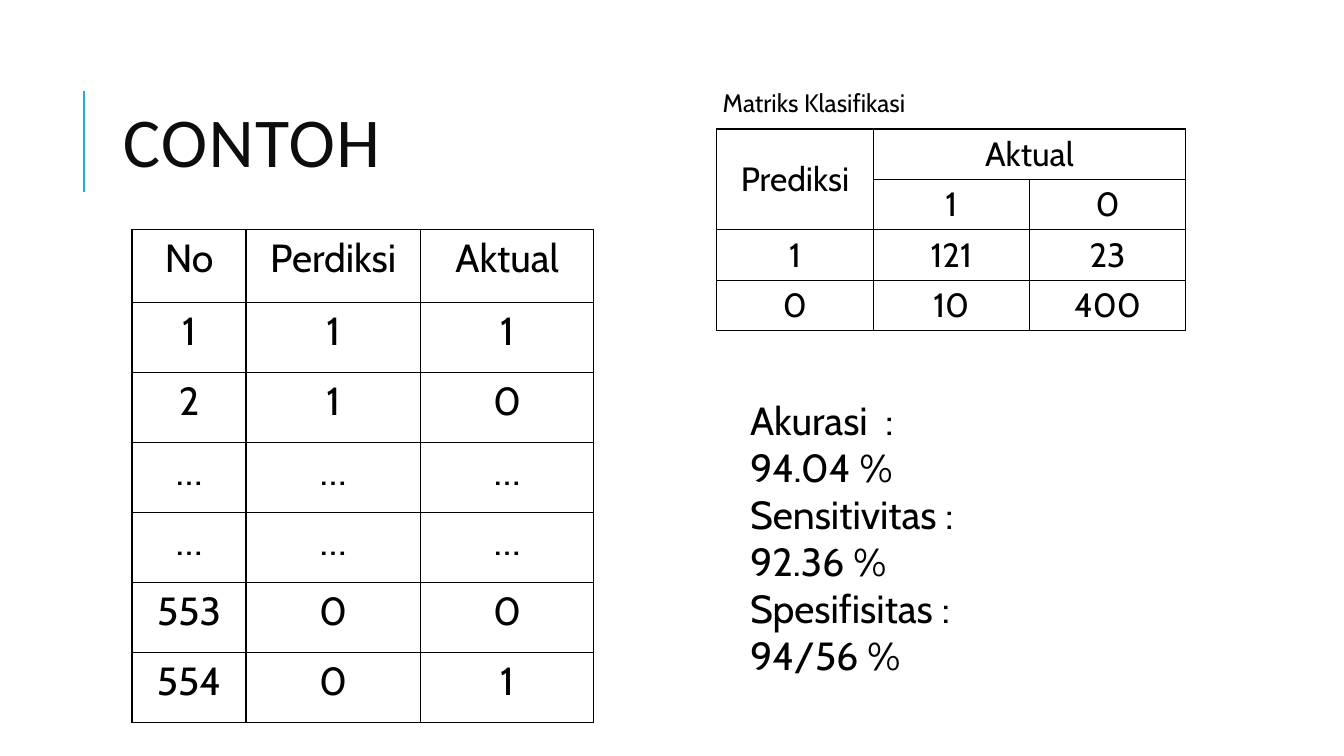
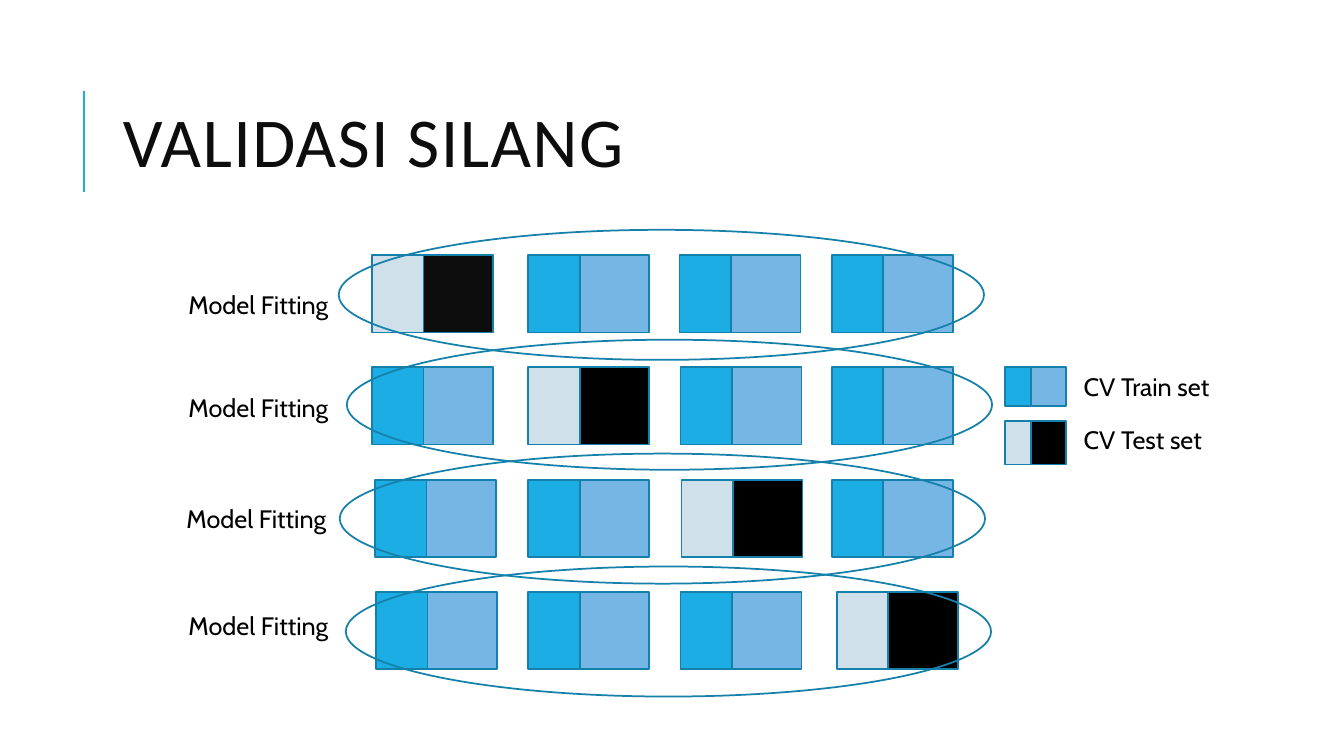
from dataclasses import dataclass

from lxml import etree
from pptx import Presentation
from pptx.dml.color import RGBColor
from pptx.enum.shapes import MSO_CONNECTOR, MSO_SHAPE
from pptx.enum.text import MSO_ANCHOR, PP_ALIGN
from pptx.oxml.ns import qn
from pptx.slide import Slide
from pptx.table import _Cell
from pptx.text.text import _Paragraph
from pptx.util import Inches, Pt

RECT, OVAL = MSO_SHAPE.RECTANGLE, MSO_SHAPE.OVAL
STRAIGHT = MSO_CONNECTOR.STRAIGHT
CENTER = PP_ALIGN.CENTER
MIDDLE = MSO_ANCHOR.MIDDLE


@dataclass(frozen=True)
class Theme:
    accent: str = "1CADE4"
    outline: str = "1580A9"
    train: str = "75B6E5"
    test: str = "CFE0EA"
    black: str = "000000"
    ink: str = "0D0D0D"
    title_font: str = "Calibri"
    body_font: str = "Cabin"
    title_size: int = 50
    large: int = 28
    medium: int = 24
    small: int = 18


THEME = Theme()
TRAIN_COLORS = (THEME.accent, THEME.train)
TEST_COLORS = (THEME.test, THEME.black)


@dataclass(frozen=True)
class Grid:
    left: float
    top: float
    cols: tuple[float, ...]
    rows: tuple[float, ...]
    size: int
    cells: tuple[tuple[str, ...], ...]


@dataclass(frozen=True)
class FoldRow:
    label_left: float
    label_top: float
    oval_left: float
    oval_top: float
    top: float
    lefts: tuple[float, ...]
    test_colors: tuple[str, str] = TEST_COLORS


@dataclass(frozen=True)
class LegendItem:
    text: str
    top: float
    height: float
    text_top: float
    colors: tuple[str, str]


PREDICTIONS = Grid(
    1.31, 2.28, (1.13, 1.73, 1.72), (0.72,) + (0.695,) * 6, THEME.large,
    (("No", "Perdiksi", "Aktual"),
     ("1", "1", "1"),
     ("2", "1", "0"),
     ("…", "…", "…"),
     ("…", "…", "…"),
     ("553", "0", "0"),
     ("554", "0", "1")))
CONFUSION = Grid(
    7.11, 1.28, (1.55,) * 3, (0.5,) * 4, THEME.medium,
    (("Prediksi", "Aktual", ""),
     ("", "1", "0"),
     ("1", "121", "23"),
     ("0", "10", "400")))
METRICS = ("Akurasi  :", "94.04 %", "Sensitivitas :", "92.36 %",
           "Spesifisitas :", "94/56 %")

# The test block moves one column to the right in each row
FOLDS = (
    FoldRow(1.77, 2.82, 3.36, 2.28, 2.53, (3.69, 5.24, 6.74, 8.25),
            (THEME.test, THEME.ink)),
    FoldRow(1.77, 3.84, 3.44, 3.37, 3.64, (3.69, 5.24, 6.75, 8.25)),
    FoldRow(1.75, 4.94, 3.37, 4.5, 4.76, (3.72, 5.24, 6.76, 8.25)),
    FoldRow(1.77, 6.01, 3.43, 5.62, 5.87, (3.73, 5.24, 6.75, 8.3)),
)
LEGEND = (
    LegendItem("CV Train set", 3.64, 0.39, 3.63, TRAIN_COLORS),
    LegendItem("CV Test set", 4.18, 0.43, 4.16, TEST_COLORS),
)


def rgb(color: str) -> RGBColor:
    return RGBColor.from_string(color)


def style(p: _Paragraph, size: int, font: str = THEME.body_font,
          color: str = THEME.black) -> None:
    p.font.name = font
    p.font.size = Pt(size)
    p.font.color.rgb = rgb(color)


def add_text(s: Slide, left: float, top: float, width: float, height: float,
             lines: tuple[str, ...], size: int) -> None:
    tf = s.shapes.add_textbox(Inches(left), Inches(top),
                              Inches(width), Inches(height)).text_frame
    tf.word_wrap = True
    tf.text = "\n".join(lines)
    for p in tf.paragraphs:
        style(p, size)


def add_title(s: Slide, text: str) -> None:
    """Draw the title and the accent rule beside it."""
    rule = s.shapes.add_connector(STRAIGHT, Inches(0.83), Inches(1.9),
                                  Inches(0.83), Inches(0.9))
    rule.line.color.rgb = rgb(THEME.accent)
    rule.line.width = Pt(1.5)
    etree.SubElement(rule._element.spPr, qn("a:effectLst"))

    tf = s.shapes.add_textbox(Inches(1.12), Inches(0.64),
                              Inches(10.63), Inches(1.64)).text_frame
    tf.word_wrap = True
    tf.vertical_anchor = MIDDLE
    p = tf.paragraphs[0]
    r = p.add_run()
    r.text = text
    r._r.get_or_add_rPr().set("spc", "100")
    p.line_spacing = 0.8
    style(p, THEME.title_size, THEME.title_font, THEME.ink)


def set_borders(cell: _Cell) -> None:
    tcPr = cell._tc.get_or_add_tcPr()
    for side in ("lnL", "lnR", "lnT", "lnB"):
        ln = etree.SubElement(tcPr, qn(f"a:{side}"), w=str(Pt(1)))
        fill = etree.SubElement(ln, qn("a:solidFill"))
        etree.SubElement(fill, qn("a:srgbClr"), val=THEME.black)


def add_grid(s: Slide, grid: Grid):
    table = s.shapes.add_table(
        len(grid.rows), len(grid.cols), Inches(grid.left), Inches(grid.top),
        Inches(sum(grid.cols)), Inches(sum(grid.rows))).table
    table.first_row = table.horz_banding = False
    for col, width in zip(table.columns, grid.cols):
        col.width = Inches(width)
    for row, height, texts in zip(table.rows, grid.rows, grid.cells):
        row.height = Inches(height)
        for cell, text in zip(row.cells, texts):
            set_borders(cell)
            cell.fill.background()
            cell.text = text
            p = cell.text_frame.paragraphs[0]
            p.alignment = CENTER
            style(p, grid.size)
    return table


def add_outlined(s: Slide, kind: MSO_SHAPE, left: float, top: float,
                 width: float, height: float, fill: str | None = None) -> None:
    sp = s.shapes.add_shape(kind, Inches(left), Inches(top),
                            Inches(width), Inches(height))
    sp.shadow.inherit = False
    sp.line.color.rgb = rgb(THEME.outline)
    sp.line.width = Pt(1.25)
    if fill:
        sp.fill.solid()
        sp.fill.fore_color.rgb = rgb(fill)
    else:
        sp.fill.background()


def add_block(s: Slide, left: float, top: float, widths: tuple[float, float],
              height: float, colors: tuple[str, str]) -> None:
    """Draw two adjoining rectangles."""
    for x, width, color in zip((left, left + widths[0]), widths, colors):
        add_outlined(s, RECT, x, top, width, height, color)


def build_example(s: Slide) -> None:
    add_title(s, "CONTOH")
    # Confusion matrix and its measures
    add_text(s, 7.07, 0.82, 2.2, 0.4, ("Matriks Klasifikasi",), THEME.small)
    table = add_grid(s, CONFUSION)
    table.cell(0, 0).merge(table.cell(1, 0))
    table.cell(0, 0).vertical_anchor = MIDDLE
    table.cell(0, 1).merge(table.cell(0, 2))
    add_text(s, 7.34, 3.88, 4.19, 2.93, METRICS, THEME.large)
    # Predicted and actual classes
    add_grid(s, PREDICTIONS)


def build_cross_validation(s: Slide) -> None:
    add_title(s, "VALIDASI SILANG")
    # Legend
    for item in LEGEND:
        add_block(s, 9.97, item.top, (0.26, 0.34), item.height, item.colors)
        add_text(s, 10.65, item.text_top, 1.53, 0.4, (item.text,), THEME.small)
    # Folds
    for i, fold in enumerate(FOLDS):
        add_text(s, fold.label_left, fold.label_top, 1.81, 0.4,
                 ("Model Fitting",), THEME.small)
        for j, left in enumerate(fold.lefts):
            colors = fold.test_colors if i == j else TRAIN_COLORS
            add_block(s, left, fold.top, (0.51, 0.69), 0.77, colors)
    # Ovals lie over all the blocks
    for fold in FOLDS:
        add_outlined(s, OVAL, fold.oval_left, fold.oval_top, 6.4, 1.29)


def main() -> None:
    prs = Presentation()
    prs.slide_width, prs.slide_height = Inches(13.33), Inches(7.5)
    blank = prs.slide_layouts[6]
    for build in (build_example, build_cross_validation):
        build(prs.slides.add_slide(blank))
    prs.save("out.pptx")


if __name__ == "__main__":
    main()
